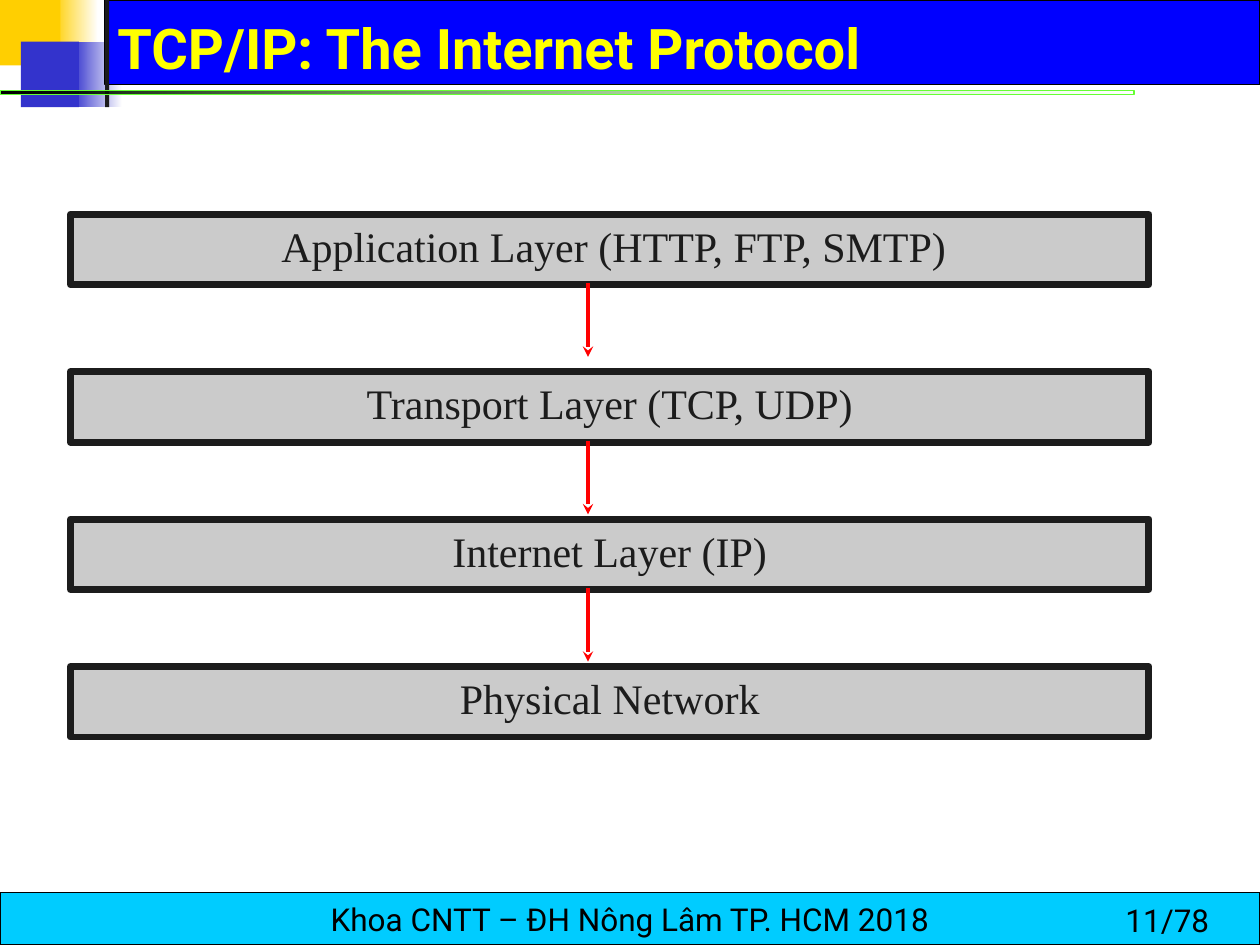
from lxml import etree
from pptx import Presentation
from pptx import util as u
from pptx.dml import color
from pptx.enum import shapes, text
from pptx.oxml import ns

Pt = u.Pt
LAYERS = [
    (122.4, " Application Layer (HTTP, FTP, SMTP)"),
    (212.4, "Transport Layer (TCP, UDP)"),
    (296.64, "Internet Layer (IP)"),
    (380.88, "Physical Network"),
]
BODY = {"name": "Times New Roman", "size": Pt(24)}
FOOTER = {"name": "Roboto", "size": Pt(18)}
TITLE = {"name": "Roboto", "size": Pt(32), "bold": True}


def rgb(value):
    """Turn a hex string into a colour."""
    return color.RGBColor.from_string(value)


def add_rect(slide, box, fill, line=None, width=0.75):
    """Draw a rectangle; a pair of colours as fill gives a gradient."""
    rect = slide.shapes.add_shape(shapes.MSO_SHAPE.RECTANGLE, *map(Pt, box))
    rect.shadow.inherit = False
    if isinstance(fill, tuple):
        rect.fill.gradient()
        rect.fill.gradient_angle = 0
        for stop, tone, place in zip(rect.fill.gradient_stops, fill, (0, 1)):
            stop.color.rgb = rgb(tone)
            stop.position = place
    else:
        rect.fill.solid()
        rect.fill.fore_color.rgb = rgb(fill)
    if line:
        rect.line.color.rgb = rgb(line)
        rect.line.width = Pt(width)
    else:
        rect.line.fill.background()
    return rect


def write(shape, words, font, tone, align="LEFT", anchor="TOP", wrap=True):
    """Put one formatted paragraph into a shape."""
    frame = shape.text_frame
    frame.word_wrap = wrap
    frame.vertical_anchor = text.MSO_ANCHOR[anchor]
    paragraph = frame.paragraphs[0]
    paragraph.alignment = text.PP_ALIGN[align]
    run = paragraph.add_run()
    run.text = words
    for key, value in font.items():
        setattr(run.font, key, value)
    run.font.color.rgb = rgb(tone)


def add_arrow(slide, x, top, length):
    """Draw a red arrow pointing down."""
    arrow = slide.shapes.add_connector(
        shapes.MSO_CONNECTOR.STRAIGHT, Pt(x), Pt(top), Pt(x), Pt(top + length))
    arrow.line.color.rgb = rgb("FF0000")
    arrow.line.width = Pt(2)
    etree.SubElement(arrow.line._get_or_add_ln(), ns.qn("a:tailEnd"), type="stealth")
    etree.SubElement(arrow._element.spPr, ns.qn("a:effectLst"))


def add_header(slide, left, top, width, title):
    """Draw the corner ornament, the title bar and the rule below it."""
    def place(x, y, w, h):
        return left + x, top + y, w, h

    add_rect(slide, place(30.24, 0, 25.92, 37.44), ("FFCF01", "FFFFFF"))
    add_rect(slide, place(41, 23.76, 28.8, 37.44), ("3333CC", "FFFFFF"))
    add_rect(slide, place(60, 0, width - 60, 48.24), "0000FF", "000000")
    add_rect(slide, place(0, 0, 34.56, 37.44), "FFCF01")
    add_rect(slide, place(12, 23.76, 33.12, 37.44), "3333CC")
    add_rect(slide, place(60, 0, 2.4, 61.2), "1C1C1C")
    rule = add_rect(slide, place(0, 51.8, 648, 2.4), ("000000", "66FF33"), "66FF33", 0)
    last_tone = rule._element.spPr.findall(".//" + ns.qn("a:gs"))[-1][0]
    etree.SubElement(last_tone, ns.qn("a:alpha"), val="0")
    heading = slide.shapes.add_textbox(*map(Pt, place(60, 5.76, 643.7, 41.76)))
    write(heading, title, TITLE, "FFFF00", anchor="MIDDLE")


def add_footer(slide, left, top, width, height, owner, page):
    """Draw the footer bar with the owner and the page count."""
    bar = add_rect(slide, (left, top, width, height), "00CCFF", "000000")
    write(bar, owner, FOOTER, "000000", "CENTER", "MIDDLE", wrap=False)
    count = slide.shapes.add_textbox(
        Pt(left + 636), Pt(top + 1.2), Pt(width - 636), Pt(28.8))
    write(count, page, FOOTER, "000000")


def add_layers(slide, left, width, height):
    """Draw the protocol layers, joined by arrows."""
    for number, (top, label) in enumerate(LAYERS, 1):
        layer = add_rect(slide, (left, top, width, height), "CBCBCB", "1C1C1C", 4)
        write(layer, label, BODY, "1C1C1C", "CENTER")
        if number < len(LAYERS):
            add_arrow(slide, left + 295.7, top + height - 0.8, 42)


deck = Presentation()
deck.slide_width, deck.slide_height = Pt(720), Pt(540)
page = deck.slides.add_slide(deck.slide_layouts[6])
add_header(page, 0, 0, 720, "TCP/IP: The Internet Protocol")
add_footer(page, 0, 510, 720, 30, "Khoa CNTT – ĐH Nông Lâm TP. HCM 2018", "11/78")
add_layers(page, 40.3, 616.3, 40.3)
deck.save("out.pptx")
